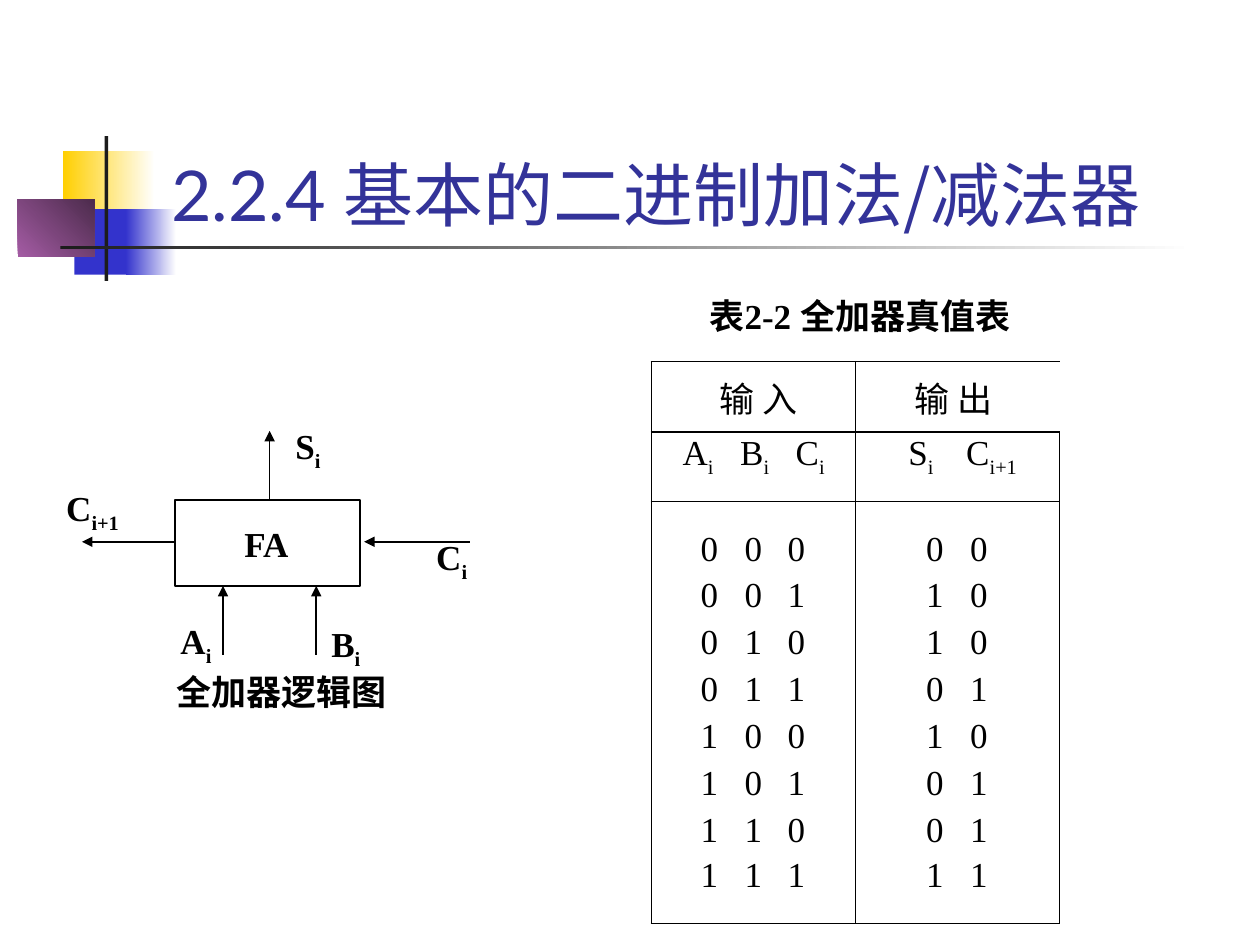
from lxml import etree
from pptx import Presentation
from pptx.dml.color import RGBColor
from pptx.enum import shapes, text
from pptx.oxml.ns import qn
from pptx.util import Inches, Pt

BLACK = "000000"
WHITE = "FFFFFF"
SERIF = "Times New Roman"
CJK = "Noto Sans CJK SC"

COL_EDGES = [5.17, 5.8, 6.2, 6.79, 7.6, 8.41]
ROW_HEIGHTS = [0.56, 0.55, 0.56] + [0.37] * 6 + [0.55]
VARIABLES = [("A", "i"), ("B", "i"), ("C", "i"), ("S", "i"), ("C", "i+1")]
VARIABLE_CENTRES = [5.54, 5.99, 6.43, 7.31, 7.87]
DIGIT_CENTRES = [5.63, 5.98, 6.32, 7.42, 7.77]


def rgb(color):
    return RGBColor.from_string(color)


def add_run(p, content, size=20, font=SERIF, color=BLACK, bold=False, sub=False):
    r = p.add_run()
    r.text = content
    r.font.size = Pt(size)
    r.font.name = font
    r.font.bold = bold
    r.font.color.rgb = rgb(color)
    rPr = r.font._element
    etree.SubElement(rPr, qn("a:ea")).set("typeface", CJK)
    if sub:
        rPr.set("baseline", "-25000")


def add_symbol(p, name, index="", bold=False):
    """Write a name with an optional subscript."""
    p.alignment = text.PP_ALIGN.CENTER
    add_run(p, name, bold=bold)
    if index:
        add_run(p, index, bold=bold, sub=True)


def add_box(slide, x, y, w, h, inset=0.01):
    tf = slide.shapes.add_textbox(Inches(x), Inches(y), Inches(w), Inches(h)).text_frame
    tf.word_wrap = True
    if inset is not None:
        tf.margin_left = tf.margin_right = Inches(inset)
        tf.margin_top = tf.margin_bottom = Inches(inset)
    return tf


def add_label(slide, x, y, w, h, name, index=""):
    add_symbol(add_box(slide, x, y, w, h).paragraphs[0], name, index, bold=True)


def add_rect(slide, x, y, w, h, start=None, end=None, angle=0):
    """Add a borderless rectangle, solid or with a gradient from start to end."""
    sp = slide.shapes.add_shape(shapes.MSO_SHAPE.RECTANGLE,
                                Inches(x), Inches(y), Inches(w), Inches(h))
    sp.shadow.inherit = False
    sp.line.fill.background()
    if end:
        sp.fill.gradient()
        sp.fill.gradient_angle = angle
        for stop, color, position in zip(sp.fill.gradient_stops, (start, end), (0, 1)):
            stop.color.rgb = rgb(color)
            stop.position = position
    elif start:
        sp.fill.solid()
        sp.fill.fore_color.rgb = rgb(start)
    else:
        sp.fill.background()
    return sp


def add_arrow(slide, tip_x, tip_y, tail_x, tail_y):
    line = slide.shapes.add_connector(shapes.MSO_CONNECTOR.STRAIGHT, Inches(tip_x),
                                      Inches(tip_y), Inches(tail_x), Inches(tail_y))
    line.line.color.rgb = rgb(BLACK)
    line.line.width = Pt(1)
    etree.SubElement(line.line._get_or_add_ln(), qn("a:headEnd")).set("type", "triangle")
    etree.SubElement(line._element.spPr, qn("a:effectLst"))


def set_borders(cell, **edges):
    """Draw the edges L, R, T, B that are true and hide the others."""
    tcPr = cell._tc.get_or_add_tcPr()
    for i, side in enumerate("LRTB"):
        ln = etree.Element(qn(f"a:ln{side}"), w=str(Pt(1)))
        if edges[side]:
            fill = etree.SubElement(ln, qn("a:solidFill"))
            etree.SubElement(fill, qn("a:srgbClr")).set("val", BLACK)
        else:
            etree.SubElement(ln, qn("a:noFill"))
        tcPr.insert(i, ln)


def centre_cell(cell, left, right, centre):
    """Set side margins so that centred text falls on the given position."""
    shift = round(2 * centre - left - right, 2)
    cell.margin_left = Inches(max(0, shift))
    cell.margin_right = Inches(max(0, -shift))


def add_decoration(slide):
    add_rect(slide, 0.5, 1.2, 0.73, 0.52, "FFCF01", WHITE)
    add_rect(slide, 0.59, 1.66, 0.46, 0.52, "3333CC")
    add_rect(slide, 1, 1.66, 0.4, 0.52, "3333CC", WHITE)
    add_rect(slide, 0.14, 1.58, 0.61, 0.46, "A45CA4", "4C2B4C", 45)
    add_rect(slide, 0.83, 1.08, 0.03, 1.15, "1C1C1C")
    add_rect(slide, 0.48, 1.95, 9, 0.03, "1C1C1C", WHITE)


def add_title(slide):
    tf = add_box(slide, 1.26, 0.67, 8.52, 1.25, inset=None)
    tf.vertical_anchor = text.MSO_ANCHOR.BOTTOM
    p = tf.paragraphs[0]
    add_run(p, "2.2.4 ", 40, "Lato", "333399")
    add_run(p, "基本的二进制加法/减法器", 40, CJK, "333399")


def add_adder_diagram(slide):
    block = add_rect(slide, 1.39, 3.97, 1.47, 0.68)
    block.line.color.rgb = rgb(BLACK)
    block.line.width = Pt(1)
    add_label(slide, 1.65, 4.14, 0.93, 0.27, "FA")
    for x, y, name, index in [(3.12, 4.24, "C", "i"), (1.09, 4.91, "A", "i"),
                              (2.28, 4.93, "B", "i"), (1.98, 3.36, "S", "i"),
                              (0.27, 3.85, "C", "i+1")]:
        add_label(slide, x, y, 0.93, 0.43, name, index)
    for ends in [(2.89, 4.3, 3.73, 4.3), (0.65, 4.3, 1.39, 4.3), (2.14, 3.42, 2.14, 3.97),
                 (1.77, 4.65, 1.77, 5.2), (2.51, 4.65, 2.51, 5.2)]:
        add_arrow(slide, *ends)
    add_label(slide, 0.37, 5.31, 3.73, 0.43, "全加器逻辑图")


def add_truth_table(slide):
    add_label(slide, 5.17, 2.33, 3.31, 0.58, "表2-2 全加器真值表")
    rows, cols = len(ROW_HEIGHTS), len(VARIABLES)
    table = slide.shapes.add_table(
        rows, cols, Inches(COL_EDGES[0]), Inches(2.87),
        Inches(COL_EDGES[-1] - COL_EDGES[0]), Inches(sum(ROW_HEIGHTS))).table
    table.first_row = table.horz_banding = False
    for col, left, right in zip(table.columns, COL_EDGES, COL_EDGES[1:]):
        col.width = Inches(right - left)
    for row, height in zip(table.rows, ROW_HEIGHTS):
        row.height = Inches(height)

    top, middle, bottom = (text.MSO_ANCHOR.TOP, text.MSO_ANCHOR.MIDDLE,
                           text.MSO_ANCHOR.BOTTOM)
    anchors = [middle, top, bottom] + [middle] * 6 + [top]
    for i in range(rows):
        for j in range(cols):
            cell = table.cell(i, j)
            cell.fill.background()
            set_borders(cell, L=j in (0, 3), R=j in (2, 4),
                        T=i in (0, 1, 2), B=i in (0, 1, rows - 1))
            cell.vertical_anchor = anchors[i]
            cell.margin_top = cell.margin_bottom = Inches(0.02)
            p = cell.text_frame.paragraphs[0]
            if i == 0:
                p.font.size = Pt(20)
                continue
            centres = VARIABLE_CENTRES if i == 1 else DIGIT_CENTRES
            centre_cell(cell, COL_EDGES[j], COL_EDGES[j + 1], centres[j])
            if i == 1:
                add_symbol(p, *VARIABLES[j])
            else:
                a, b, c = (i - 2) >> 2 & 1, (i - 2) >> 1 & 1, (i - 2) & 1
                total = a + b + c
                add_symbol(p, str((a, b, c, total % 2, total // 2)[j]))

    for first, last, heading, centre in [(0, 2, "输 入", 6.02), (3, 4, "输 出", 7.57)]:
        cell = table.cell(0, first)
        cell.merge(table.cell(0, last))
        centre_cell(cell, COL_EDGES[first], COL_EDGES[last + 1], centre)
        add_symbol(cell.text_frame.paragraphs[0], heading)


def main():
    prs = Presentation()
    prs.slide_width, prs.slide_height = Inches(10), Inches(7.5)
    slide = prs.slides.add_slide(prs.slide_layouts[6])
    add_decoration(slide)
    add_title(slide)
    add_adder_diagram(slide)
    add_truth_table(slide)
    prs.save("out.pptx")


if __name__ == "__main__":
    main()
